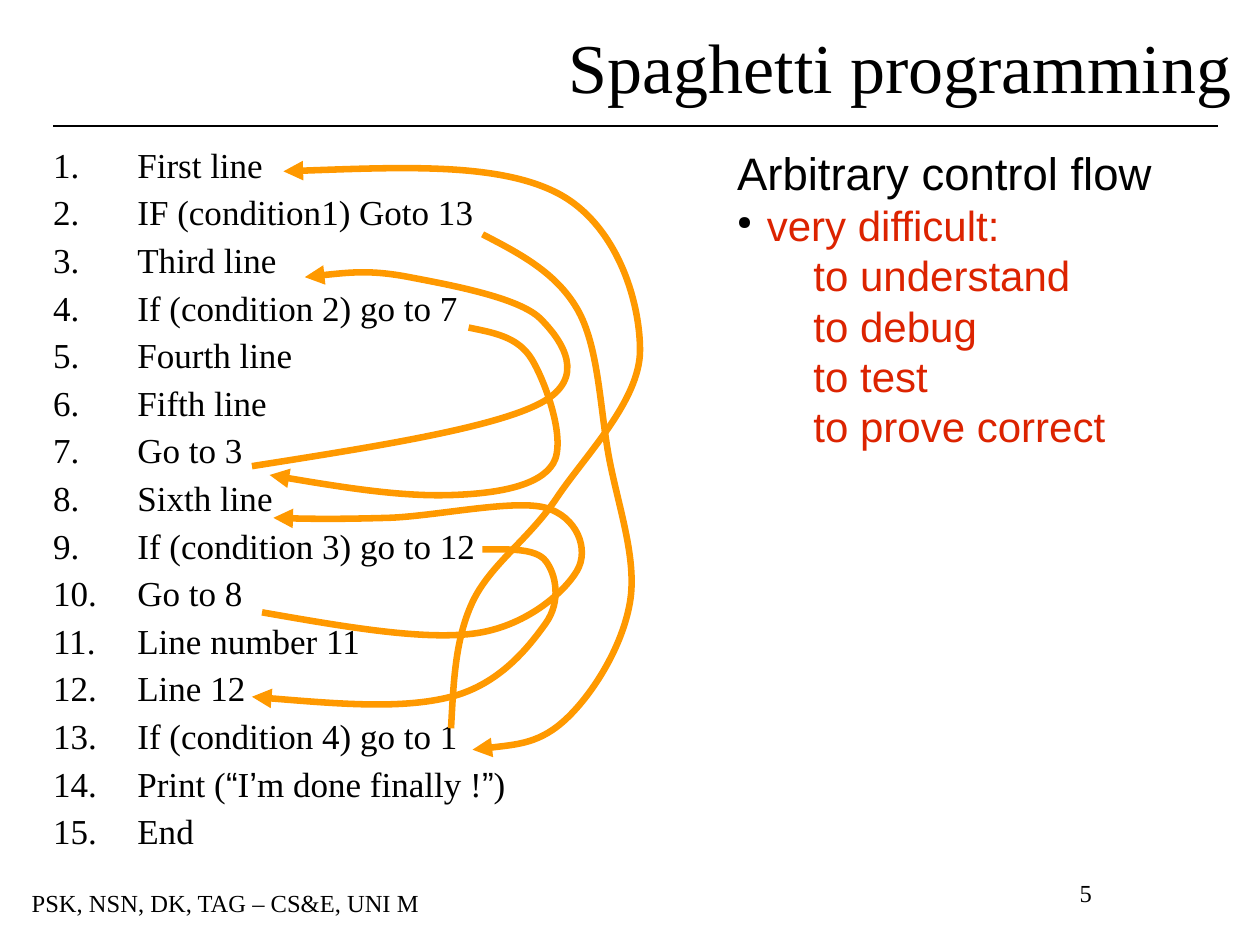
from lxml.etree import SubElement
from pptx import Presentation
from pptx.dml.color import RGBColor
from pptx.enum.shapes import MSO_CONNECTOR
from pptx.enum.text import MSO_ANCHOR, MSO_AUTO_SIZE, PP_ALIGN
from pptx.oxml.ns import qn
from pptx.util import Cm, Pt

SERIF, SANS = "Times New Roman", "Arial"
BLACK, RED, ORANGE = "000000", "DC2300", "FF9900"

CODE = [
    "First line", "IF (condition1) Goto 13", "Third line",
    "If (condition 2) go to 7", "Fourth line", "Fifth line", "Go to 3",
    "Sixth line", "If (condition 3) go to 12", "Go to 8", "Line number 11",
    "Line 12", "If (condition 4) go to 1", "Print (“I’m done finally !”)",
    "End",
]
GOALS = ["to understand", "to debug", "to test", "to prove correct"]

# Points each jump runs through, in hundredths of an inch
UNIT = Cm(0.0254)
JUMPS = [
    [(383, 186), (458, 245), (483, 361), (500, 478), (450, 570), (375, 595)],
    [(372, 260), (422, 285), (439, 368), (356, 393), (214, 377)],
    [(200, 370), (429, 320), (429, 253), (325, 220), (242, 220)],
    [(383, 436), (433, 445), (433, 495), (358, 553), (200, 553)],
    [(208, 486), (375, 503), (458, 453), (433, 403), (308, 411), (217, 411)],
    [(358, 578), (375, 478), (442, 395), (508, 278), (442, 153), (225, 136)],
]


def paint(code):
    return RGBColor.from_string(code)


def style(item, **values):
    """Set each value on the item."""
    for name, value in values.items():
        setattr(item, name, value)


def write(para, text, size, face=SERIF, color=BLACK):
    run = para.add_run()
    run.text = text
    style(run.font, size=Pt(size), name=face)
    run.font.color.rgb = paint(color)


def frame(shape, side=0.0, edge=0.0):
    """Give a shape's text its margins and wrapping."""
    text = shape.text_frame
    style(text, word_wrap=True, auto_size=MSO_AUTO_SIZE.NONE,
          margin_left=Cm(side), margin_right=Cm(side),
          margin_top=Cm(edge), margin_bottom=Cm(edge))
    return text


def box(slide, left, top, width, height, side=0.25, edge=0.13):
    area = slide.shapes.add_textbox(Cm(left), Cm(top), Cm(width), Cm(height))
    return frame(area, side, edge)


def lines(text, count):
    """Return that many paragraphs of the frame."""
    return [text.paragraphs[0]] + [text.add_paragraph() for _ in range(count - 1)]


def indent(para, left, hang=0.0):
    props = para._p.get_or_add_pPr()
    props.set("marL", str(Cm(left)))
    props.set("indent", str(-Cm(hang)))
    return props


def add_title(slide, text):
    title = slide.shapes.title
    style(title, left=Cm(6.81), top=Cm(0.43), width=Cm(18.01), height=Cm(1.78))
    body = frame(title)
    body.vertical_anchor = MSO_ANCHOR.MIDDLE
    para = body.paragraphs[0]
    para.alignment = PP_ALIGN.RIGHT
    write(para, text, 40)


def add_rule(slide):
    rule = slide.shapes.add_connector(
        MSO_CONNECTOR.STRAIGHT, Cm(1.07), Cm(2.54), Cm(24.56), Cm(2.54))
    rule.line.color.rgb = paint(BLACK)
    rule.line.width = Pt(0.75)
    SubElement(rule._element.spPr, qn("a:effectLst"))


def add_note(slide, text, *place):
    para = box(slide, *place).paragraphs[0]
    para.alignment = PP_ALIGN.CENTER
    write(para, text, 14)


def add_code(slide):
    text = box(slide, 1.07, 3.05, 12.95, 14.6, 0, 0)
    for para, line in zip(lines(text, len(CODE)), CODE):
        style(para, line_spacing=0.8, space_before=Pt(8))
        props = indent(para, 1.7, 1.7)
        SubElement(props, qn("a:buFont"), typeface=SERIF)
        SubElement(props, qn("a:buAutoNum"), type="arabicPeriod")
        # Quote marks are set in the sans face
        part = ""
        for sign in line:
            if sign in "“’”":
                write(para, part, 20)
                write(para, sign, 20, SANS)
                part = ""
            else:
                part += sign
        write(para, part, 20)


def add_flow(slide):
    text = box(slide, 14.61, 2.79, 9.4, 14.6)
    head, point, *rest = lines(text, 2 + len(GOALS))
    write(head, "Arbitrary control flow", 26, SANS)
    props = indent(point, 0.6, 0.6)
    tint = SubElement(props, qn("a:buClr"))
    SubElement(tint, qn("a:srgbClr"), val=BLACK)
    SubElement(props, qn("a:buSzPct"), val="45000")
    SubElement(props, qn("a:buChar"), char="●")
    write(point, "very difficult:", 24, SANS, RED)
    for para, goal in zip(rest, GOALS):
        indent(para, 1.54)
        write(para, goal, 24, SANS, RED)


def blend(a, b, share):
    return tuple(p + (q - p) * share for p, q in zip(a, b))


def bend(knots):
    """Return two handles and an end for each piece of a smooth curve."""
    slopes = [tuple((q - p) / 6 for p, q in zip(a, b))
              for a, b in zip(knots, knots[2:])]
    pieces = []
    last = len(knots) - 2
    for i, (a, b) in enumerate(zip(knots, knots[1:])):
        out = tuple(p + s for p, s in zip(a, slopes[i - 1])) if i else None
        into = tuple(p - s for p, s in zip(b, slopes[i])) if i < last else None
        pieces += [out or blend(a, into, 0.5), into or blend(out, b, 0.5), b]
    return pieces


def add_jump(slide, knots):
    maker = slide.shapes.build_freeform(*knots[0], scale=UNIT)
    maker.add_line_segments(bend(knots), close=False)
    curve = maker.convert_to_shape()
    curve.shadow.inherit = False
    curve.fill.background()
    curve.line.color.rgb = paint(ORANGE)
    curve.line.width = Pt(3.75)
    SubElement(curve.line._get_or_add_ln(), qn("a:tailEnd"), type="triangle")
    # Join each three points into one cubic piece
    steps = list(curve._element.iter(qn("a:lnTo")))
    track = steps[0].getparent()
    for i in range(0, len(steps), 3):
        piece = SubElement(track, qn("a:cubicBezTo"))
        for step in steps[i:i + 3]:
            piece.append(step[0])
            track.remove(step)


def main():
    deck = Presentation()
    style(deck, slide_width=Cm(25.4), slide_height=Cm(19.05))
    slide = deck.slides.add_slide(deck.slide_layouts[5])
    # Footer and heading
    add_note(slide, "PSK, NSN, DK, TAG – CS&E, UNI M", 0, 17.78, 9.09, 0.86)
    add_note(slide, "5", 19.25, 17.58, 5.28, 0.86)
    add_rule(slide)
    add_title(slide, "Spaghetti programming")
    # Program, its jumps and the remark
    add_code(slide)
    for knots in JUMPS:
        add_jump(slide, knots)
    add_flow(slide)
    deck.save("out.pptx")


if __name__ == "__main__":
    main()
